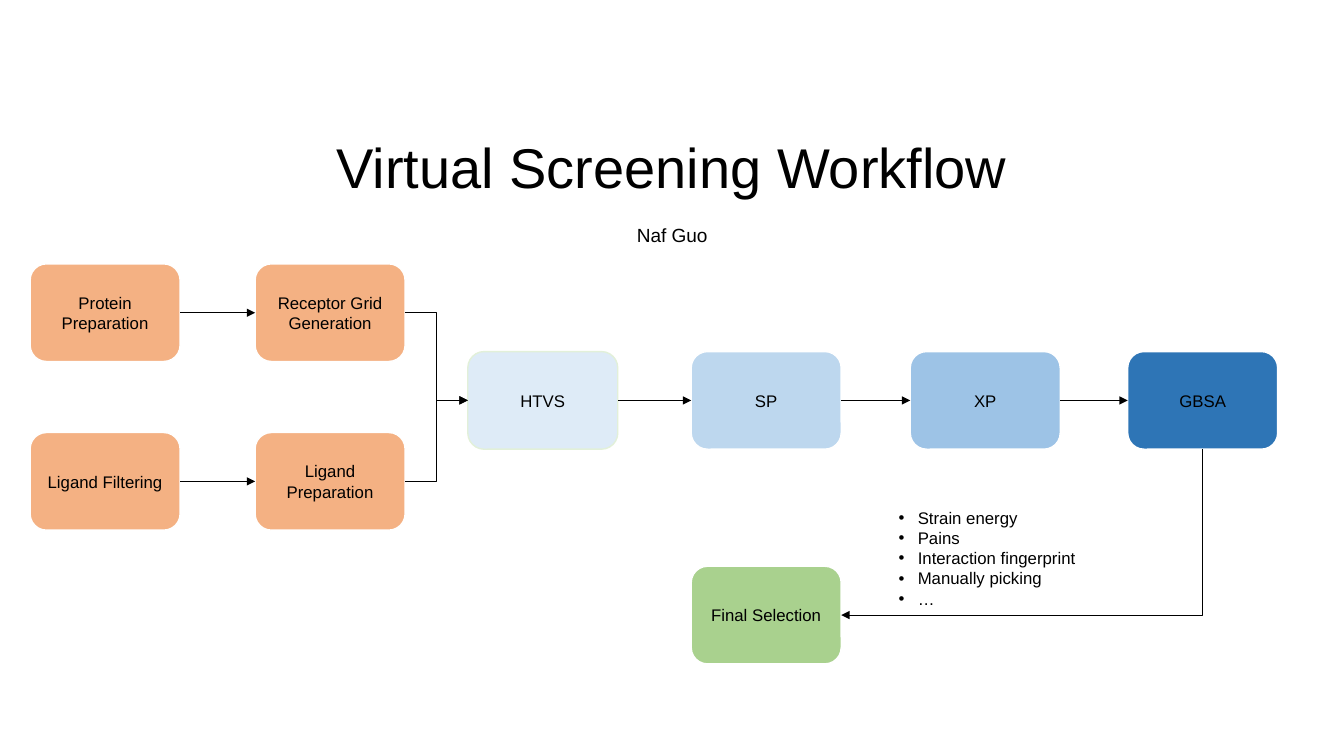
from dataclasses import dataclass

from lxml import etree
from pptx import Presentation
from pptx import util as u
from pptx.dml.color import RGBColor
from pptx.enum import shapes, text
from pptx.oxml import ns

TOP, LEFT, BOTTOM, RIGHT = range(4)


@dataclass(frozen=True)
class Theme:
    font: str = "Arial"
    ink: str = "000000"
    edge: str = "FFFFFF"
    rim: str = "E2F0D9"
    prep: str = "F4B183"
    htvs: str = "DEEBF7"
    sp: str = "BDD7EE"
    xp: str = "9DC3E6"
    gbsa: str = "2E75B6"
    final: str = "A9D18E"
    title: float = 40
    name: float = 13.6
    body: float = 12
    box: tuple = (3.78, 2.46)


class Deck:
    def __init__(self, theme):
        self.theme = theme
        self.prs = Presentation()
        self.prs.slide_width, self.prs.slide_height = u.Cm(33.87), u.Cm(19.05)
        self.slide = self.prs.slides.add_slide(self.prs.slide_layouts[6])

    def label(self, para, words, size, align):
        para.alignment = align
        run = para.add_run()
        run.text = words
        run.font.name, run.font.size = self.theme.font, u.Pt(size)
        run.font.color.rgb = RGBColor.from_string(self.theme.ink)

    def frame(self, x, y, w, h):
        frame = self.slide.shapes.add_textbox(*map(u.Cm, (x, y, w, h))).text_frame
        frame.word_wrap = True
        return frame

    def head(self, words, size, area, gap, anchor, before=0):
        frame = self.frame(*area)
        frame.vertical_anchor = anchor
        para = frame.paragraphs[0]
        para.line_spacing, para.space_before = gap, u.Pt(before)
        self.label(para, words, size, text.PP_ALIGN.CENTER)

    def step(self, words, x, y, fill, edge=None):
        size = map(u.Cm, (x, y, *self.theme.box))
        box = self.slide.shapes.add_shape(shapes.MSO_SHAPE.ROUNDED_RECTANGLE, *size)
        box.shadow.inherit = False
        box.fill.solid()
        box.fill.fore_color.rgb = RGBColor.from_string(fill)
        box.line.color.rgb = RGBColor.from_string(edge or self.theme.edge)
        box.line.width = u.Pt(1)
        frame = box.text_frame
        frame.word_wrap = True
        frame.vertical_anchor = text.MSO_ANCHOR.MIDDLE
        self.label(frame.paragraphs[0], words, self.theme.body, text.PP_ALIGN.CENTER)
        return box

    def link(self, start, end, out=RIGHT, into=LEFT, bent=False):
        kind = shapes.MSO_CONNECTOR.ELBOW if bent else shapes.MSO_CONNECTOR.STRAIGHT
        line = self.slide.shapes.add_connector(kind, 0, 0, 0, 0)
        line.begin_connect(start, out)
        line.end_connect(end, into)
        line.line.color.rgb = RGBColor.from_string(self.theme.ink)
        line.line.width = u.Pt(0.5)
        props = line._element.spPr
        etree.SubElement(props.get_or_add_ln(), ns.qn("a:tailEnd"), type="triangle")
        etree.SubElement(props, ns.qn("a:effectLst"))
        return line

    def turn(self, start, end):
        # One corner: down from start, then left into end
        line = self.link(start, end, BOTTOM, RIGHT, bent=True)
        x, y, w, h = line.left, line.top, line.width, line.height
        line.left, line.top = x + (w - h) // 2, y + (h - w) // 2
        line.width, line.height = h, w
        props = line._element.spPr
        props.find(ns.qn("a:prstGeom")).set("prst", "bentConnector2")
        frame = props.find(ns.qn("a:xfrm"))
        frame.attrib.pop("flipH", None)
        frame.set("rot", str(90 * 60000))

    def bullets(self, items, area):
        frame = self.frame(*area)
        for i, item in enumerate(items):
            para = frame.add_paragraph() if i else frame.paragraphs[0]
            self.label(para, item, self.theme.body, text.PP_ALIGN.LEFT)
            props = para._p.get_or_add_pPr()
            dent = u.Cm(0.48)
            props.set("marL", str(dent))
            props.set("indent", str(-dent))
            etree.SubElement(props, ns.qn("a:buFont"), typeface=self.theme.font)
            etree.SubElement(props, ns.qn("a:buChar"), char="•")


def main():
    look = Theme()
    deck = Deck(look)

    # Heading
    deck.head("Virtual Screening Workflow", look.title, (7.14, 2.36, 19.56, 2.82),
              0.9, text.MSO_ANCHOR.BOTTOM)
    deck.head("Naf Guo", look.name, (14.45, 5.66, 4.98, 0.71),
              0.7, text.MSO_ANCHOR.TOP, before=10)

    # Screening stages
    mid = 8.86
    htvs = deck.step("HTVS", 11.79, mid, look.htvs, look.rim)
    stages = [htvs] + [deck.step(words, x, mid, fill) for words, x, fill in (
        ("SP", 17.42, look.sp), ("XP", 22.94, look.xp), ("GBSA", 28.42, look.gbsa))]
    for start, end in zip(stages, stages[1:]):
        deck.link(start, end)

    # Preparation rows, both feeding the first stage
    for y, first, second in (
            (6.65, "Protein Preparation", "Receptor Grid Generation"),
            (10.9, "Ligand Filtering", "Ligand Preparation")):
        start = deck.step(first, 0.76, y, look.prep)
        end = deck.step(second, 6.43, y, look.prep)
        deck.link(start, end)
        deck.link(end, htvs, bent=True)

    # Final selection and its criteria
    final = deck.step("Final Selection", 17.42, 14.27, look.final)
    deck.turn(stages[-1], final)
    deck.bullets(("Strain energy", "Pains", "Interaction fingerprint",
                  "Manually picking", "…"), (22.4, 12.67, 7.16, 2.82))

    deck.prs.save("out.pptx")


if __name__ == "__main__":
    main()
